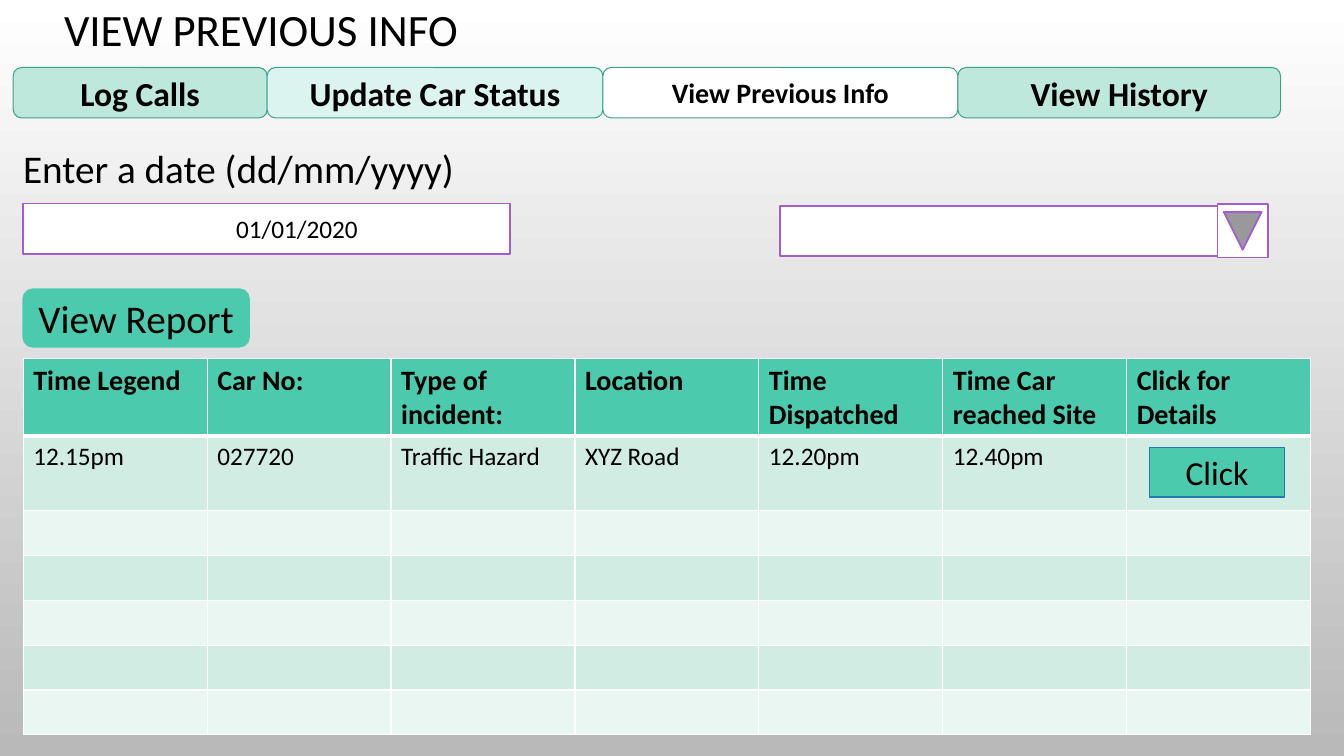
from dataclasses import dataclass
from itertools import accumulate

from lxml.etree import SubElement
from pptx import Presentation
from pptx.dml.color import RGBColor
from pptx.enum.shapes import MSO_SHAPE
from pptx.enum.text import MSO_ANCHOR, PP_ALIGN
from pptx.oxml.ns import qn
from pptx.shapes.autoshape import Shape
from pptx.slide import Slide
from pptx.table import _Cell
from pptx.text.text import TextFrame
from pptx.util import Emu, Inches, Pt

SLIDE_WIDTH = Inches(13.33)
SLIDE_HEIGHT = Inches(7.5)
FONT = "Calibri"
BLACK, WHITE = "000000", "FFFFFF"
TEAL, PURPLE, TAB_LINE = "4BCAAD", "A35DD1", "3CA28B"
BANDS = ("D0ECE3", "E9F6F1")

MARGIN = 1.73
TAB_LEFT, TAB_TOP = 0.98, 8.93
BAR_HEIGHT = 6.67
FIELD_WIDTH = 36.23
TABLE_TOP, TABLE_WIDTH = 47.47, 95.8
ROW_HEIGHTS = (10.13, 9.87) + (5.93,) * 5

HEADINGS = (
    "Time Legend",
    "Car No:",
    "Type of incident:",
    "Location",
    "Time Dispatched",
    "Time Car reached Site",
    "Click for Details",
)
INCIDENT = ("12.15pm", "027720", "Traffic Hazard", "XYZ Road", "12.20pm", "12.40pm")


@dataclass(frozen=True)
class Area:
    left: float
    top: float
    width: float
    height: float

    def lengths(self) -> tuple[Emu, Emu, Emu, Emu]:
        return across(self.left), down(self.top), across(self.width), down(self.height)


@dataclass(frozen=True)
class Tab:
    caption: str
    width: float
    fill: str
    size: int = 24


@dataclass(frozen=True)
class Control:
    area: Area
    fill: str
    line: str
    caption: str = ""
    size: int = 18
    bold: bool = False
    kind: MSO_SHAPE = MSO_SHAPE.RECTANGLE
    line_width: float = 1.25
    rotation: int = 0
    indent: float = 0


TABS = (
    Tab("Log Calls", 18.9, "BDE8DB"),
    Tab("Update Car Status", 24.98, "DBF4EF"),
    Tab("View Previous Info", 26.41, WHITE, 20),
    Tab("View History", 24.01, "BDE8DB"),
)
CONTROLS = (
    Control(Area(MARGIN, 26.93, FIELD_WIDTH, BAR_HEIGHT), WHITE, PURPLE, "01/01/2020", indent=4.5),
    Control(Area(58.06, 27.2, FIELD_WIDTH, BAR_HEIGHT), WHITE, PURPLE),
    Control(Area(90.47, 27.2, 3.98, BAR_HEIGHT), WHITE, PURPLE,
            kind=MSO_SHAPE.ACTION_BUTTON_FORWARD_OR_NEXT, rotation=90),
    Control(Area(MARGIN, 38.27, 16.8, 7.6), TEAL, TEAL, "View Report", 28,
            kind=MSO_SHAPE.ROUNDED_RECTANGLE),
)
CLICK_BUTTON = Control(Area(85.52, 59.2, 10.05, 6.53), TEAL, "2379B0", "Click", 24)


def across(percent: float) -> Emu:
    return Emu(round(SLIDE_WIDTH * percent / 100))


def down(percent: float) -> Emu:
    return Emu(round(SLIDE_HEIGHT * percent / 100))


def color(value: str) -> RGBColor:
    return RGBColor.from_string(value)


def write(frame: TextFrame, text: str, size: int, bold: bool = False,
          align: PP_ALIGN = PP_ALIGN.LEFT) -> None:
    frame.word_wrap = True
    para = frame.paragraphs[0]
    para.text = text
    para.alignment = align
    para.font.name = FONT
    para.font.size = Pt(size)
    para.font.bold = bold
    para.font.color.rgb = color(BLACK)


def place(shape: Shape, area: Area) -> None:
    shape.left, shape.top, shape.width, shape.height = area.lengths()


def draw_control(page: Slide, control: Control) -> None:
    box = page.shapes.add_shape(control.kind, *control.area.lengths())
    box.shadow.inherit = False
    box.rotation = control.rotation
    box.fill.solid()
    box.fill.fore_color.rgb = color(control.fill)
    box.line.color.rgb = color(control.line)
    box.line.width = Pt(control.line_width)
    if control.caption:
        frame = box.text_frame
        frame.vertical_anchor = MSO_ANCHOR.MIDDLE
        frame.margin_left += across(control.indent)
        write(frame, control.caption, control.size, control.bold, PP_ALIGN.CENTER)


def draw_tabs(page: Slide) -> None:
    lefts = accumulate((tab.width for tab in TABS), initial=TAB_LEFT)
    for tab, left in zip(TABS, lefts):
        area = Area(left, TAB_TOP, tab.width, BAR_HEIGHT)
        draw_control(page, Control(area, tab.fill, TAB_LINE, tab.caption, tab.size, True,
                                   MSO_SHAPE.ROUNDED_RECTANGLE, 0.75))


def style_cell(cell: _Cell, fill: str, top: float, bottom: float) -> None:
    properties = cell._tc.get_or_add_tcPr()
    for side, width in (("L", 1), ("R", 1), ("T", top), ("B", bottom)):
        border = SubElement(properties, qn(f"a:ln{side}"), w=str(Pt(width)))
        SubElement(SubElement(border, qn("a:solidFill")), qn("a:srgbClr"), val=WHITE)
    cell.fill.solid()
    cell.fill.fore_color.rgb = color(fill)


def draw_report(page: Slide) -> None:
    area = Area(MARGIN, TABLE_TOP, TABLE_WIDTH, sum(ROW_HEIGHTS))
    table = page.shapes.add_table(len(ROW_HEIGHTS), len(HEADINGS), *area.lengths()).table
    for column in table.columns:
        column.width = across(TABLE_WIDTH / len(HEADINGS))
    for index, (row, height) in enumerate(zip(table.rows, ROW_HEIGHTS)):
        row.height = down(height)
        fill = BANDS[(index - 1) % 2] if index else TEAL
        for cell in row.cells:
            style_cell(cell, fill, 3 if index == 1 else 1, 3 if index == 0 else 1)
    for column, heading in enumerate(HEADINGS):
        write(table.cell(0, column).text_frame, heading, 20, True)
    for column, value in enumerate(INCIDENT):
        write(table.cell(1, column).text_frame, value, 18)


def draw_background(page: Slide) -> None:
    fill = page.background.fill
    fill.gradient()
    fill.gradient_angle = 270
    for stop, position, value in zip(fill.gradient_stops, (0, 1), (WHITE, "B9B9B9")):
        stop.position = position
        stop.color.rgb = color(value)


def main() -> None:
    deck = Presentation()
    deck.slide_width, deck.slide_height = SLIDE_WIDTH, SLIDE_HEIGHT
    page = deck.slides.add_slide(deck.slide_layouts[5])
    draw_background(page)
    title = page.shapes.title
    place(title, Area(TAB_LEFT, 0.93, 36.91, BAR_HEIGHT))
    write(title.text_frame, "VIEW PREVIOUS INFO", 32, align=PP_ALIGN.CENTER)
    title.text_frame.vertical_anchor = MSO_ANCHOR.MIDDLE
    title.text_frame.paragraphs[0].line_spacing = 0.9
    draw_tabs(page)
    label = page.shapes.add_textbox(*Area(TAB_LEFT, 18.4, 43.89, 7.6).lengths())
    write(label.text_frame, "Enter a date (dd/mm/yyyy)", 28)
    for control in CONTROLS:
        draw_control(page, control)
    draw_report(page)
    draw_control(page, CLICK_BUTTON)
    deck.save("out.pptx")


if __name__ == "__main__":
    main()
